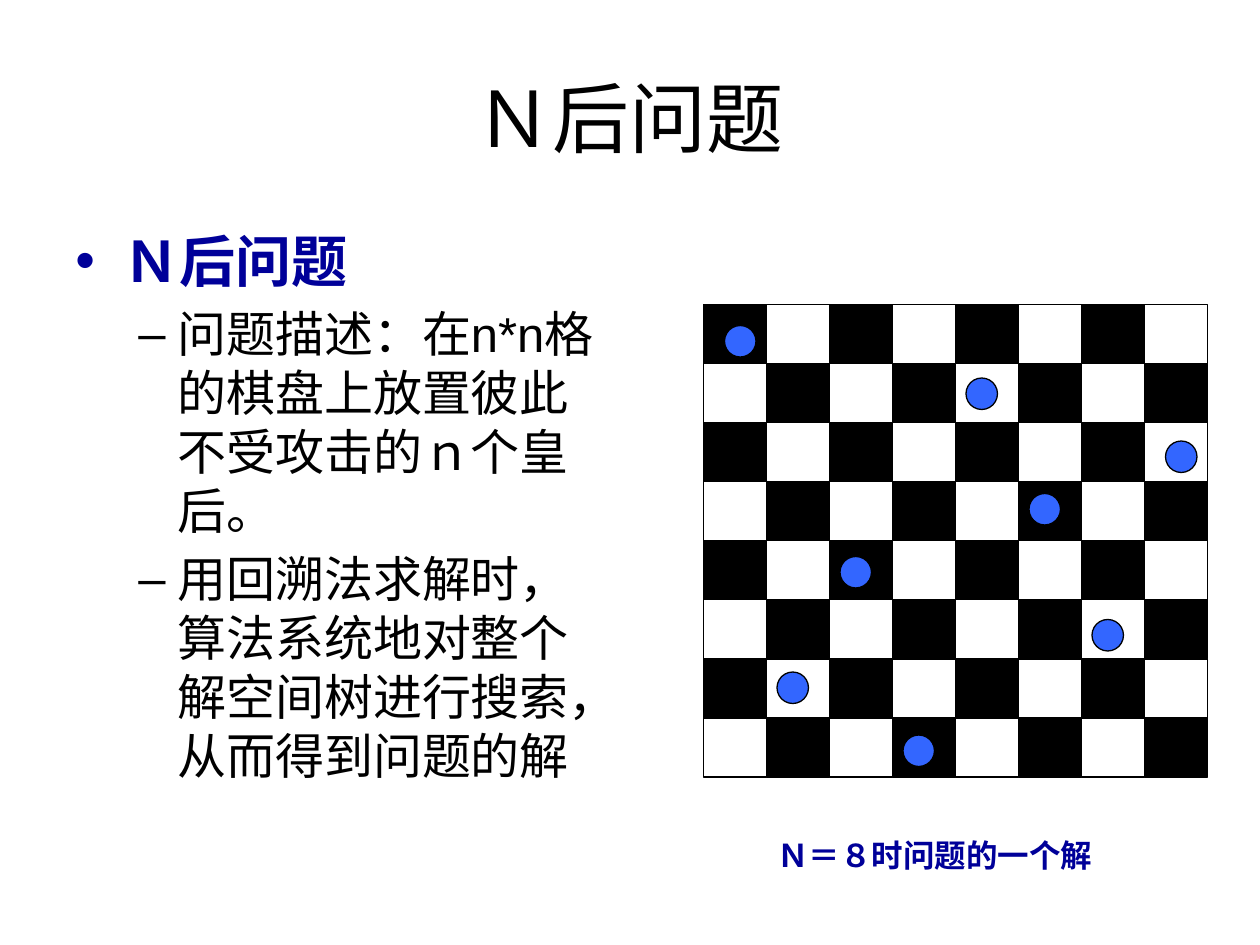
from lxml.etree import SubElement
from pptx import Presentation
from pptx.dml.color import RGBColor
from pptx.enum.shapes import MSO_SHAPE as Shape
from pptx.enum.text import MSO_ANCHOR as Anchor, PP_ALIGN as Align
from pptx.oxml.ns import qn
from pptx.util import Inches, Pt

# The slide is a grid of 120 columns by 90 rows, 12 to the inch
UNIT = Inches(1) // 12
COLUMNS, ROWS = 120, 90

# Board: place and square size in grid units
BOARD_LEFT, BOARD_TOP = 67, 29
SIDE = 8
SQUARE_W, SQUARE_H = 6, 45 / SIDE
QUEEN = 3

# Each row's queen: its column and its inset from the square's left edge
QUEENS = [(0, 2), (4, 1), (7, 2), (5, 1), (2, 1), (6, 1), (1, 1), (3, 1)]


def color(hex_code):
    return RGBColor.from_string(hex_code)


class SlideBuilder:
    font = "Arial"
    black, white, navy, blue = "000000", "FFFFFF", "000099", "3366FF"

    def __init__(self, slide):
        self.slide = slide

    def place(self, *grid):
        return [round(value * UNIT) for value in grid]

    def style(self, paragraph, size, ink, bold=False):
        for run in paragraph.runs:
            run.font.name = self.font
            run.font.size = Pt(size)
            run.font.bold = bold
            run.font.color.rgb = color(ink)

    def title(self, text, *grid):
        title = self.slide.shapes.title
        title.left, title.top, title.width, title.height = self.place(*grid)
        title.text_frame.text = text
        title.text_frame.vertical_anchor = Anchor.MIDDLE
        heading = title.text_frame.paragraphs[0]
        heading.alignment = Align.CENTER
        self.style(heading, 44, self.black)

    def text_box(self, lines, *grid):
        frame = self.slide.shapes.add_textbox(*self.place(*grid)).text_frame
        frame.word_wrap = True
        frame.text = "\n".join(lines)
        return frame.paragraphs

    def bullet(self, paragraph, mark, margin, hanging):
        properties = paragraph._p.get_or_add_pPr()
        properties.set("marL", str(Inches(margin)))
        properties.set("indent", str(-Inches(hanging)))
        SubElement(properties, qn("a:buFont")).set("typeface", self.font)
        SubElement(properties, qn("a:buChar")).set("char", mark)

    def outline(self, topic, points, *grid):
        head, *details = self.text_box([topic, *points], *grid)
        self.bullet(head, "•", 0.38, 0.38)
        self.style(head, 32, self.navy, bold=True)
        for detail in details:
            detail.level = 1
            self.bullet(detail, "–", 0.81, 0.31)
            detail.space_before = Pt(5.6)
            self.style(detail, 28, self.black)

    def caption(self, text, *grid):
        caption = self.text_box([text], *grid)[0]
        caption.alignment = Align.CENTER
        self.style(caption, 18, self.navy, bold=True)

    def group(self):
        return self.slide.shapes.add_group_shape().shapes

    def piece(self, group, kind, fill, *grid):
        piece = group.add_shape(kind, *self.place(*grid))
        piece.shadow.inherit = False
        piece.fill.solid()
        piece.fill.fore_color.rgb = color(fill)
        piece.line.color.rgb = color(self.black)
        piece.line.width = Pt(0.75)

    def board(self):
        squares = self.group()
        for row in range(SIDE):
            for column in range(SIDE):
                fill = self.white if (row + column) % 2 else self.black
                self.piece(squares, Shape.RECTANGLE, fill,
                           BOARD_LEFT + column * SQUARE_W,
                           BOARD_TOP + row * SQUARE_H, SQUARE_W, SQUARE_H)

    def queens(self):
        queens = self.group()
        for row, (column, inset) in enumerate(QUEENS):
            # Queens snap to whole grid rows
            self.piece(queens, Shape.OVAL, self.blue,
                       BOARD_LEFT + column * SQUARE_W + inset,
                       BOARD_TOP + round(row * SQUARE_H + 1.6), QUEEN, QUEEN)


def main():
    deck = Presentation()
    deck.slide_width, deck.slide_height = COLUMNS * UNIT, ROWS * UNIT
    builder = SlideBuilder(deck.slides.add_slide(deck.slide_layouts[5]))

    # Title and explanation
    builder.title("Ｎ后问题", 6, 3.6, 108, 15)
    builder.outline("Ｎ后问题", [
        "问题描述：在n*n格的棋盘上放置彼此不受攻击的ｎ个皇后。",
        "用回溯法求解时，算法系统地对整个解空间树进行搜索，从而得到问题的解",
    ], 6, 21, 53, 59.4)

    # Chessboard with one solution
    builder.board()
    builder.queens()
    builder.caption("Ｎ＝８时问题的一个解", 69, 79, 40, 4.8)

    deck.save("out.pptx")


if __name__ == "__main__":
    main()
